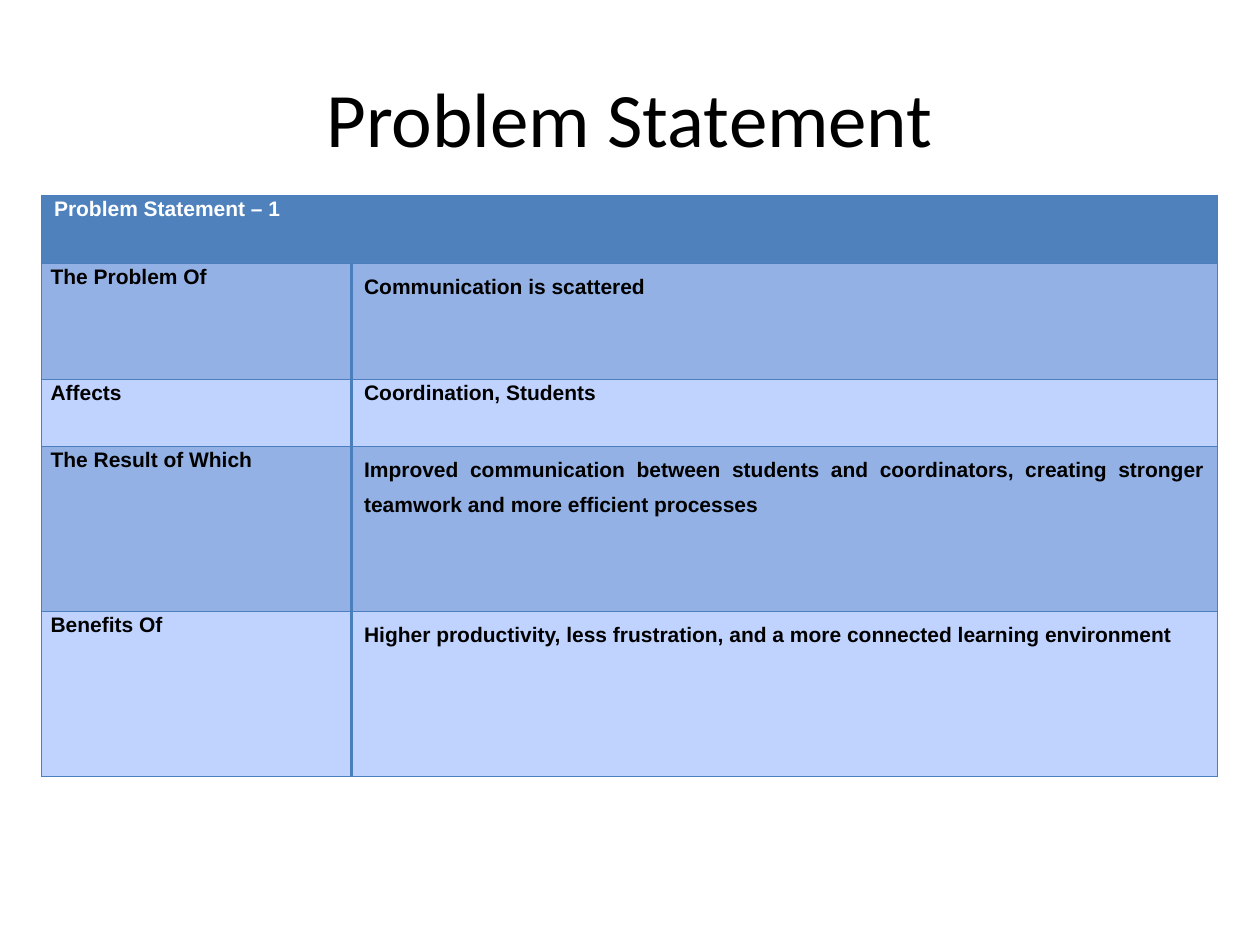
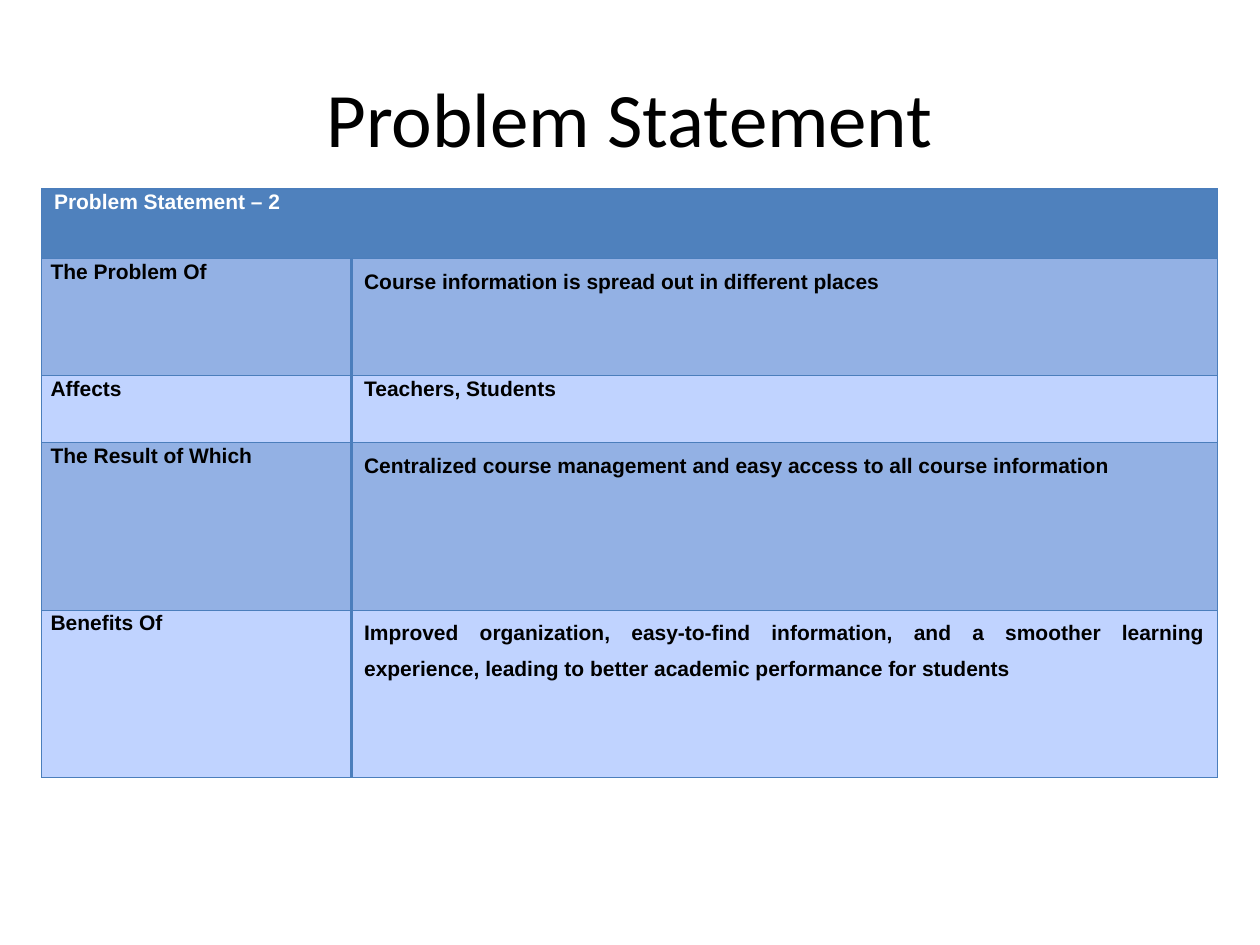
from lxml.etree import SubElement
from pptx import Presentation
from pptx.dml.color import RGBColor
from pptx.enum.text import MSO_ANCHOR, PP_ALIGN
from pptx.oxml.ns import qn
from pptx.util import Cm, Pt

BLACK = RGBColor(0x00, 0x00, 0x00)
WHITE = RGBColor(0xFF, 0xFF, 0xFF)
HEADER_BLUE = RGBColor(0x4F, 0x81, 0xBD)
LINE_BLUE = RGBColor(0x4B, 0x7E, 0xBC)
ROW_FILLS = [RGBColor(0x93, 0xB1, 0xE4), RGBColor(0xC0, 0xD3, 0xFF)]

LABELS = ["The Problem Of", "Affects", "The Result of Which", "Benefits Of"]
COLUMN_WIDTHS = [6.25, 17.45]
TABLE_LEFT = 0.84
THIN, THICK = 0.75, 2
SINGLE, WIDE = 1.07, 1.5
ANSWER_SPACINGS = [WIDE, SINGLE, WIDE, WIDE]
ANSWER_ALIGNMENTS = [None, None, PP_ALIGN.JUSTIFY, PP_ALIGN.JUSTIFY]

STATEMENTS = [
    {
        "heading": "Problem Statement – 1",
        "top": 3.94,
        "heights": [1.37, 2.34, 1.35, 3.33, 3.33],
        "answers": [
            "Communication is scattered",
            "Coordination, Students",
            "Improved communication between students and coordinators, "
            "creating stronger teamwork and more efficient processes",
            "Higher productivity, less frustration, and a more connected "
            "learning environment",
        ],
    },
    {
        "heading": "Problem Statement – 2",
        "top": 3.81,
        "heights": [1.4, 2.36, 1.35, 3.38, 3.38],
        "answers": [
            "Course information is spread out in different places",
            "Teachers, Students",
            "Centralized course management and easy access to all course information",
            "Improved organization, easy-to-find information, and a smoother "
            "learning experience, leading to better academic performance for students",
        ],
    },
]


class Deck:
    title_font = "Calibri"
    table_font = "Arial"

    def __init__(self):
        self.presentation = Presentation()
        self.presentation.slide_width = Cm(25.4)
        self.presentation.slide_height = Cm(19.05)
        self.slide = None

    def add_slide(self, title):
        layout = self.presentation.slide_layouts.get_by_name("Title Only")
        self.slide = self.presentation.slides.add_slide(layout)
        shape = self.slide.shapes.title
        shape.left, shape.top = Cm(1.27), Cm(0.76)
        shape.width, shape.height = Cm(22.86), Cm(3.18)
        text_frame = shape.text_frame
        text_frame.text = title
        text_frame.vertical_anchor = MSO_ANCHOR.MIDDLE
        paragraph = text_frame.paragraphs[0]
        paragraph.alignment = PP_ALIGN.CENTER
        self.format_run(paragraph.runs[0], self.title_font, 44, BLACK)

    def add_statement_table(self, heading, top, heights, answers):
        table = self.slide.shapes.add_table(
            len(heights), len(COLUMN_WIDTHS), Cm(TABLE_LEFT), Cm(top),
            Cm(sum(COLUMN_WIDTHS)), Cm(sum(heights)),
        ).table
        table.first_row = table.horz_banding = False
        for column, width in zip(table.columns, COLUMN_WIDTHS):
            column.width = Cm(width)
        for row, height in zip(table.rows, heights):
            row.height = Cm(height)

        header = table.cell(0, 0)
        header.merge(table.cell(0, 1))
        for cell in table.rows[0].cells:
            self.paint_cell(cell, HEADER_BLUE)
        self.write_cell(header, heading, 0.25, WHITE)

        rows = zip(LABELS, answers, ANSWER_SPACINGS, ANSWER_ALIGNMENTS)
        for index, (label, answer, spacing, alignment) in enumerate(rows):
            label_cell, answer_cell = table.rows[index + 1].cells
            fill = ROW_FILLS[index % 2]
            self.paint_cell(label_cell, fill, right=THICK)
            self.paint_cell(answer_cell, fill, left=THICK)
            self.write_cell(label_cell, label, 0.18, BLACK)
            self.write_cell(answer_cell, answer, 0.25, BLACK, spacing, alignment)

    def paint_cell(self, cell, fill, left=THIN, right=THIN):
        properties = cell._tc.get_or_add_tcPr()
        sides = {"a:lnL": left, "a:lnR": right, "a:lnT": THIN, "a:lnB": THIN}
        for tag, width in sides.items():
            line = SubElement(properties, qn(tag), w=str(Pt(width)))
            solid = SubElement(line, qn("a:solidFill"))
            SubElement(solid, qn("a:srgbClr"), val=str(LINE_BLUE))
        cell.fill.solid()
        cell.fill.fore_color.rgb = fill

    def write_cell(self, cell, text, indent, color, spacing=SINGLE, alignment=None):
        cell.margin_left = cell.margin_right = Cm(0)
        cell.margin_top = cell.margin_bottom = Cm(0)
        cell.text_frame.text = text
        paragraph = cell.text_frame.paragraphs[0]
        paragraph.alignment = alignment
        paragraph.line_spacing = spacing
        paragraph.space_before = Pt(3.5)
        properties = paragraph._p.get_or_add_pPr()
        properties.set("marL", str(Cm(indent)))
        properties.set("marR", str(Cm(indent)))
        properties.set("indent", "0")
        self.format_run(paragraph.runs[0], self.table_font, 12, color, bold=True)

    def format_run(self, run, name, size, color, bold=False):
        run.font.name = name
        run.font.size = Pt(size)
        run.font.bold = bold
        run.font.color.rgb = color


def main():
    deck = Deck()
    for statement in STATEMENTS:
        deck.add_slide("Problem Statement")
        deck.add_statement_table(**statement)
    deck.presentation.save("out.pptx")


if __name__ == "__main__":
    main()
